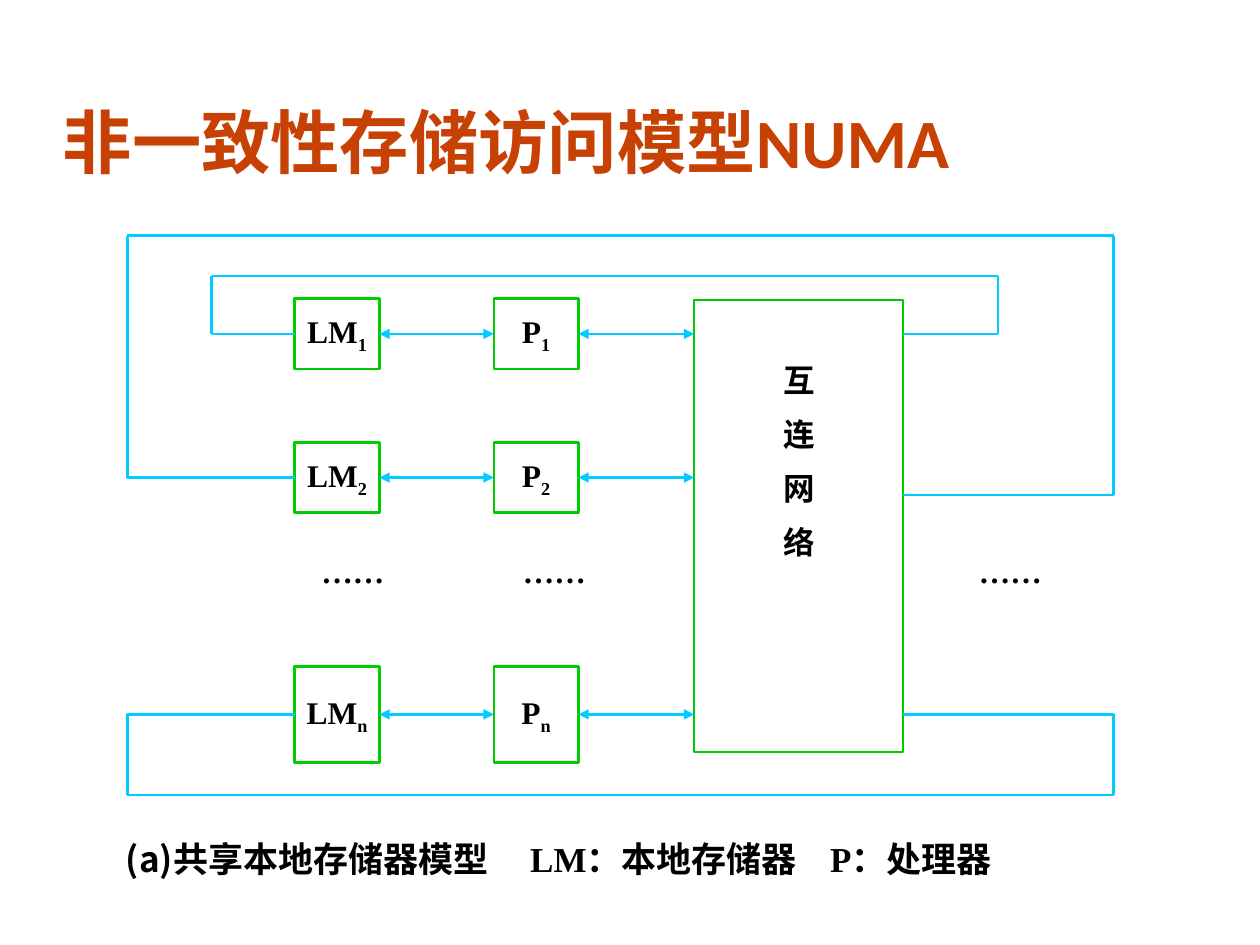
"""Builds a slide with the NUMA shared local memory model diagram."""
from itertools import pairwise

from pptx import Presentation
from pptx.dml.color import RGBColor
from pptx.enum.shapes import MSO_CONNECTOR, MSO_SHAPE
from pptx.enum.text import MSO_ANCHOR, PP_ALIGN
from pptx.oxml.ns import qn
from pptx.util import Inches, Pt
from lxml import etree

STRAIGHT = MSO_CONNECTOR.STRAIGHT
RECT = MSO_SHAPE.RECTANGLE
LEFT, CENTER = PP_ALIGN.LEFT, PP_ALIGN.CENTER
TOP, MIDDLE = MSO_ANCHOR.TOP, MSO_ANCHOR.MIDDLE
LEFT_SIDE, RIGHT_SIDE = 1, 3

COLORS = {"title": "C74105", "text": "000000", "box": "00CC00", "wire": "00CCFF"}
SERIF, SANS, HEADING = "Times New Roman", "Noto Sans CJK SC", "Calibri"

LM_X, P_X, BOX_W = 2.34, 3.92, 0.67
NET_X, NET_Y, NET_W, NET_H = 5.51, 2.38, 1.66, 3.59
NET_RIGHT = NET_X + NET_W
OUTER_LEFT, OUTER_RIGHT = 1.01, 8.84
ROWS = [("1", 2.65, 0.56), ("2", 3.79, 0.56), ("n", 5.67, 0.76)]
LOOPS = [
    [(1.68, 2.65), (1.68, 2.19), (7.92, 2.19), (7.92, 2.65), (NET_RIGHT, 2.65)],
    [(OUTER_LEFT, 3.79), (OUTER_LEFT, 1.87), (OUTER_RIGHT, 1.87),
     (OUTER_RIGHT, 3.93), (NET_RIGHT, 3.93)],
    [(OUTER_LEFT, 5.67), (OUTER_LEFT, 6.31), (OUTER_RIGHT, 6.31),
     (OUTER_RIGHT, 5.67), (NET_RIGHT, 5.67)],
]


def style_run(r, size=18, font=SERIF, color="text"):
    """Make a run bold in a Latin font with the shared East Asian font."""
    r.font.size = Pt(size)
    r.font.bold = True
    r.font.name = font
    r.font.color.rgb = RGBColor.from_string(COLORS[color])
    ea = etree.SubElement(r._r.get_or_add_rPr(), qn("a:ea"))
    ea.set("typeface", SANS)


def add_run(p, text, **style):
    """Append a styled run to a paragraph."""
    r = p.add_run()
    r.text = text
    style_run(r, **style)
    return r


def add_text(s, x, y, w, h, align=LEFT, anchor=MIDDLE, wrap=True):
    """Add a text box and return its first paragraph."""
    tf = s.shapes.add_textbox(Inches(x), Inches(y), Inches(w), Inches(h)).text_frame
    tf.word_wrap = wrap
    tf.vertical_anchor = anchor
    p = tf.paragraphs[0]
    p.alignment = align
    return p


def add_box(s, x, y, w, h, line_width):
    """Add an unfilled rectangle with a green outline."""
    sp = s.shapes.add_shape(RECT, Inches(x), Inches(y), Inches(w), Inches(h))
    sp.shadow.inherit = False
    sp.fill.background()
    sp.line.color.rgb = RGBColor.from_string(COLORS["box"])
    sp.line.width = Pt(line_width)
    return sp


def add_unit(s, x, mid_y, h, name, index):
    """Add a memory or processor box with a subscripted label."""
    sp = add_box(s, x, mid_y - h / 2, BOX_W, h, 1.5)
    tf = sp.text_frame
    tf.word_wrap = False
    tf.vertical_anchor = MIDDLE
    p = tf.paragraphs[0]
    p.alignment = CENTER
    add_run(p, name)
    add_run(p, index)._r.get_or_add_rPr().set("baseline", "-25000")
    return sp


def add_network(s):
    """Add the interconnection network box with its stacked label."""
    sp = add_box(s, NET_X, NET_Y, NET_W, NET_H, 1)
    tf = sp.text_frame
    tf.vertical_anchor = TOP
    tf.margin_top = Inches(0.36)
    tf.text = "\n".join("互连网络")
    for p in tf.paragraphs:
        p.alignment = CENTER
        p.line_spacing = Pt(30.8)
        style_run(p.runs[0])


def add_wire(s, start, end, arrows=False):
    """Add a straight wire, with arrowheads at both ends if asked."""
    wire = s.shapes.add_connector(STRAIGHT, *map(Inches, start + end))
    wire.line.color.rgb = RGBColor.from_string(COLORS["wire"])
    wire.line.width = Pt(1.5)
    if arrows:
        for tag in ("a:headEnd", "a:tailEnd"):
            etree.SubElement(wire.line._get_or_add_ln(), qn(tag)).set("type", "triangle")
    etree.SubElement(wire._element.spPr, qn("a:effectLst"))
    return wire


def add_row(s, index, y, h, loop):
    """Add one memory and processor pair with its wires and return loop."""
    lm = add_unit(s, LM_X, y, h, "LM", index)
    cpu = add_unit(s, P_X, y, h, "P", index)
    link = add_wire(s, (LM_X + BOX_W, y), (P_X, y), arrows=True)
    link.begin_connect(lm, RIGHT_SIDE)
    link.end_connect(cpu, LEFT_SIDE)
    add_wire(s, (P_X + BOX_W, y), (NET_X, y), arrows=True).begin_connect(cpu, RIGHT_SIDE)
    add_wire(s, (LM_X, y), loop[0]).begin_connect(lm, LEFT_SIDE)
    for start, end in pairwise(loop):
        add_wire(s, start, end)


def add_caption(s):
    """Add the caption with the legend set on tab stops."""
    p = add_text(s, 0.9, 6.6, 8.21, 0.43, anchor=TOP)
    tabs = etree.SubElement(p._p.get_or_add_pPr(), qn("a:tabLst"))
    for stop in (3.21, 5.59):
        tab = etree.SubElement(tabs, qn("a:tab"))
        tab.set("pos", str(Inches(stop)))
        tab.set("algn", "l")
    add_run(p, "(a)共享", size=20, font=SANS)
    add_run(p, "本地存储器模型\tLM：本地存储器\tP：处理器", size=20)


def main():
    """Build and save the slide."""
    prs = Presentation()
    prs.slide_width, prs.slide_height = Inches(10), Inches(7.5)
    s = prs.slides.add_slide(prs.slide_layouts[6])
    title = add_text(s, 0.4, 0.73, 9.53, 0.78)
    add_run(title, "非一致性存储访问模型NUMA", size=39.6, font=HEADING, color="title")
    add_network(s)
    for (index, y, h), loop in zip(ROWS, LOOPS):
        add_row(s, index, y, h, loop)
    for mid_x in (2.8, 4.4, 8.02):
        add_run(add_text(s, mid_x - 0.35, 4.33, 0.7, 0.4, CENTER, wrap=False), "……")
    add_caption(s)
    prs.save("out.pptx")


if __name__ == "__main__":
    main()
